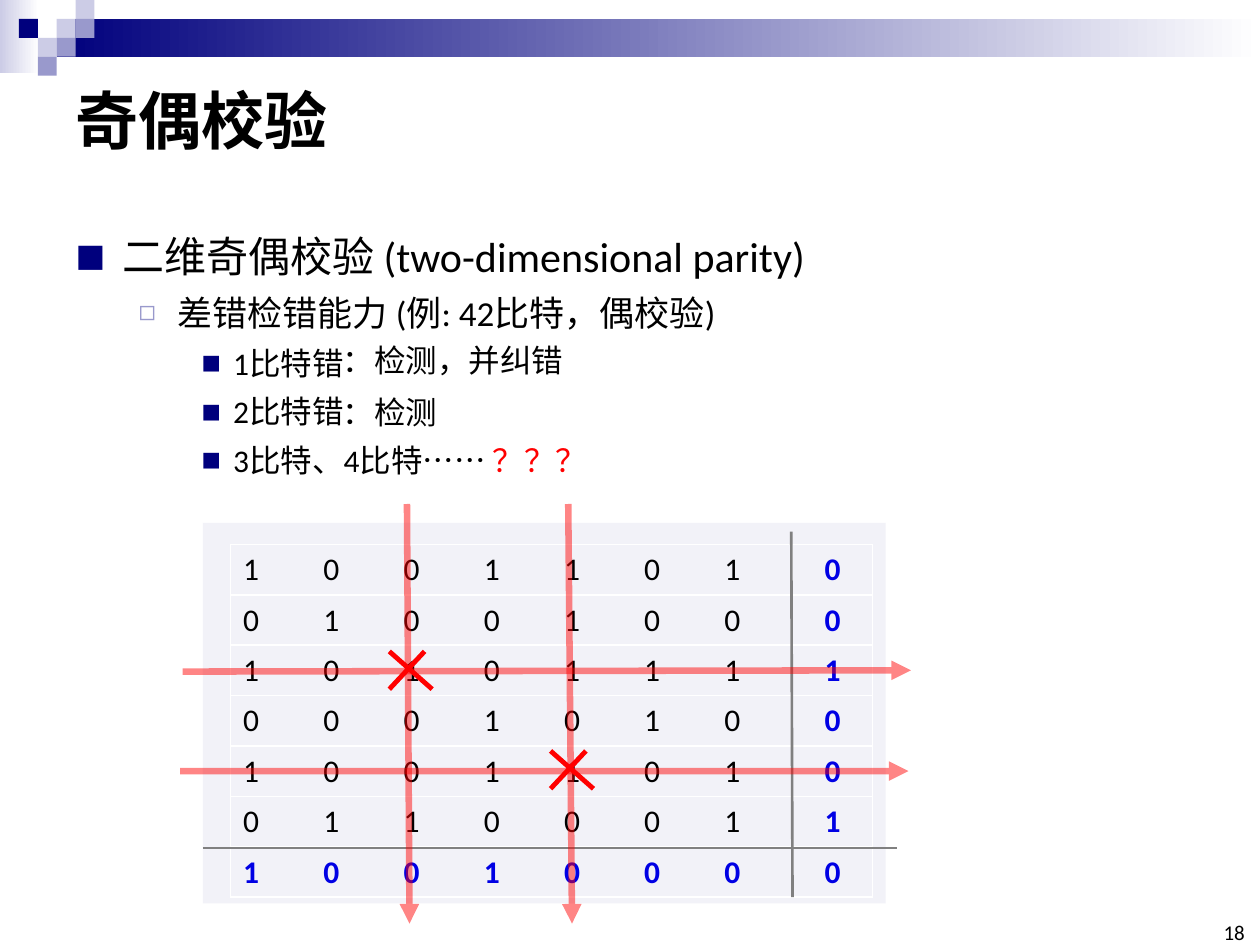
from lxml import etree
from pptx import Presentation
from pptx import util as u
from pptx.dml.color import RGBColor
from pptx.enum import shapes, text
from pptx.oxml import ns

COLORS = {
    "navy": "00007D", "violet": "9999CC", "lilac": "CCCCE6", "panel": "F2F2F8",
    "white": "FFFFFF", "black": "000000", "blue": "0000E4", "red": "FF0000",
    "gray": "808080",
}
LATIN, CJK = "Calibri", "Noto Sans CJK SC"
COLS, ROWS = 100, 75
PLAIN_TABLE = "{2D5ABB26-0587-4C30-8999-92F81FD0307C}"


def rgb(name):
    return RGBColor.from_string(COLORS[name])


def sub(parent, tag, **attrs):
    """Append a DrawingML child element."""
    child = etree.SubElement(parent, ns.qn("a:" + tag))
    for key, value in attrs.items():
        child.set(key, str(value))
    return child


def add_text(p, value, size=18, color="black", bold=False, font=LATIN, align=None):
    r = p.add_run()
    r.text = value
    r.font.size, r.font.bold, r.font.name = u.Pt(size), bold, font
    r.font.color.rgb = rgb(color)
    sub(r._r.get_or_add_rPr(), "ea", typeface=CJK)
    if align is not None:
        p.alignment = align


class Deck:
    """Lengths are columns and rows of a 100 x 75 grid."""

    def __init__(self):
        self.prs = Presentation()
        self.prs.slide_width, self.prs.slide_height = u.Inches(10), u.Inches(7.5)
        self.s = self.prs.slides.add_slide(self.prs.slide_layouts[1])

    def x(self, cols):
        return round(self.prs.slide_width * cols / COLS)

    def y(self, rows):
        return round(self.prs.slide_height * rows / ROWS)

    def box(self, left, top, width, height):
        return self.x(left), self.y(top), self.x(width), self.y(height)

    def rect(self, box, *colors):
        sp = self.s.shapes.add_shape(shapes.MSO_SHAPE.RECTANGLE, *self.box(*box))
        sp.shadow.inherit = False
        sp.line.fill.background()
        if len(colors) == 1:
            sp.fill.solid()
            sp.fill.fore_color.rgb = rgb(colors[0])
        else:
            sp.fill.gradient()
            sp.fill.gradient_angle = 0
            for stop, color in zip(sp.fill.gradient_stops, colors):
                stop.color.rgb = rgb(color)

    def line(self, x1, y1, x2, y2, color, width, alpha=None, arrow=False):
        sp = self.s.shapes.add_connector(
            shapes.MSO_CONNECTOR.STRAIGHT,
            self.x(x1), self.y(y1), self.x(x2), self.y(y2))
        sp.line.width = u.Pt(width)
        sp.line.color.rgb = rgb(color)
        ln = sp.line._get_or_add_ln()
        if alpha:
            sub(ln.find(".//" + ns.qn("a:srgbClr")), "alpha", val=alpha * 1000)
        if arrow:
            sub(ln, "tailEnd", type="triangle")
        sub(sp._element.spPr, "effectLst")

    def placeholder(self, index, box, anchor):
        sp = self.s.placeholders[index]
        sp.left, sp.top, sp.width, sp.height = self.box(*box)
        tf = sp.text_frame
        tf.auto_size, tf.vertical_anchor = text.MSO_AUTO_SIZE.NONE, anchor
        return tf

    def title(self, value, box):
        p = self.placeholder(0, box, text.MSO_ANCHOR.MIDDLE).paragraphs[0]
        add_text(p, value, size=36, bold=True, font=CJK, align=text.PP_ALIGN.LEFT)

    def bullets(self, items, box):
        # Per level: text size, left margin, hang, space before, mark, colour, mark size
        levels = [
            (24, 0.37, 0.37, 4.8, "■", "navy", 75),
            (20, 0.81, 0.31, 6, "◻", "violet", 80),
            (18, 1.25, 0.25, 6, "■", "navy", 65),
        ]
        tf = self.placeholder(1, box, text.MSO_ANCHOR.TOP)
        for i, (level, *runs) in enumerate(items):
            size, margin, hang, before, mark, color, scale = levels[level]
            p = tf.add_paragraph() if i else tf.paragraphs[0]
            p.level, p.space_before = level, u.Pt(before)
            p.line_spacing = 1 if level else 1.5
            pPr = p._p.get_or_add_pPr()
            pPr.set("marL", str(u.Inches(margin)))
            pPr.set("indent", str(-u.Inches(hang)))
            sub(sub(pPr, "buClr"), "srgbClr", val=COLORS[color])
            sub(pPr, "buSzPct", val=scale * 1000)
            sub(pPr, "buFont", typeface=LATIN)
            sub(pPr, "buChar", char=mark)
            for value, run_color in runs:
                add_text(p, value, size=size, color=run_color)

    def textbox(self, value, box, inset=None, before=0, margin=0,
                anchor=text.MSO_ANCHOR.TOP, **style):
        tf = self.s.shapes.add_textbox(*self.box(*box)).text_frame
        tf.word_wrap, tf.vertical_anchor = True, anchor
        if inset is not None:
            tf.margin_left = tf.margin_right = inset
            tf.margin_top = tf.margin_bottom = inset
        p = tf.paragraphs[0]
        p.space_before = u.Pt(before)
        p._p.get_or_add_pPr().set("marL", str(u.Inches(margin)))
        add_text(p, value, **style)

    def table(self, rows, left, top, col, row, **style):
        count = len(rows[0])
        frame = self.s.shapes.add_table(
            len(rows), count, *self.box(left, top, col * count, row * len(rows)))
        table = frame.table
        table.first_row = table.horz_banding = False
        table._tbl.tblPr.find(ns.qn("a:tableStyleId")).text = PLAIN_TABLE
        for i, bits in enumerate(rows):
            table.rows[i].height = self.y(row)
            for j, bit in enumerate(bits):
                table.columns[j].width = self.x(col)
                cell = table.cell(i, j)
                add_text(cell.text_frame.paragraphs[0], bit, **style)
                tcPr = cell._tc.get_or_add_tcPr()
                sides = "L" * (j == 0) + "R" * (j == count - 1) + "TB"
                for side in sides:
                    ln = sub(tcPr, "ln" + side, w=u.Pt(1))
                    sub(sub(ln, "solidFill"), "srgbClr", val=COLORS["white"])
                cell.fill.background()


def main():
    deck = Deck()

    # Header band and mosaic
    deck.rect((0, 0, 3.1, 5.8), "lilac", "white")
    deck.rect((4.5, 1.5, 95.5, 3), "navy", "white")
    tiles = [(3, 1, "lilac"), (4, 0, "lilac"), (4, 1, "violet"), (2, 2, "lilac"),
             (1, 1, "navy"), (3, 2, "violet"), (2, 3, "violet")]
    for col, row, color in tiles:
        deck.rect((col * 1.5, row * 1.5, 1.5, 1.5), color)

    # Title and list
    deck.title("奇偶校验", (5, 5, 90, 8.9))
    deck.bullets([
        (0, ("二维奇偶校验 (two-dimensional parity)", "black")),
        (1, ("差错检错能力 (例: 42比特，偶校验)", "black")),
        (2, ("1比特错", "black")),
        (2, ("2比特错", "black")),
        (2, ("3比特、4比特…… ", "black"), ("？？？", "red")),
    ], (5, 15.8, 90, 23.8))
    for value, top in (("：检测，并纠错", 26.6), ("：检测", 30.7)):
        deck.textbox(value, (16.2, top, 29.9, 4), before=6, margin=1)

    # Data bits with parity column and parity row
    data = ["1001101", "0100100", "1010111", "0001010", "1001101", "0110001"]
    left, top, col, row = 18.3, 43.2, 6.37, 4
    right, bottom = left + 7 * col, top + 6 * row
    parity = {"color": "blue", "bold": True}
    center = text.PP_ALIGN.CENTER
    deck.rect((16.1, 41.5, 54.2, 30.2), "panel")
    deck.table(["1001000"], left, bottom, col, row, **parity)
    deck.table(data, left, top, col, row)
    deck.table(list("001001"), right, top, col, row, align=center, **parity)
    deck.table(["0"], right, bottom, col, row, align=center, **parity)
    deck.line(16.1, 67.3, 71.2, 67.3, "gray", 1.5)
    deck.line(62.8, 42.2, 62.9, 71.2, "gray", 1.5)

    # Crosses on the wrong bits
    for x, y in ((30.9, 51.7), (43.7, 59.6)):
        deck.line(x, y, x + 3.4, y + 3, "red", 2.75)
        deck.line(x + 2.8, y, x, y + 3, "red", 2.75)

    # Arrows along the failing rows and columns
    arrows = [(14.5, 53.3, 72.3, 53.2), (14.3, 61.2, 72.1, 61.2),
              (32.3, 40, 32.5, 73.3), (45.1, 40, 45.4, 73.3)]
    for ends in arrows:
        deck.line(*ends, "red", 3.75, alpha=47, arrow=True)

    # Slide number
    deck.textbox("18", (96.5, 73.3, 2.3, 1.7), inset=0, size=12,
                 anchor=text.MSO_ANCHOR.BOTTOM, align=text.PP_ALIGN.RIGHT)

    deck.prs.save("out.pptx")


if __name__ == "__main__":
    main()
